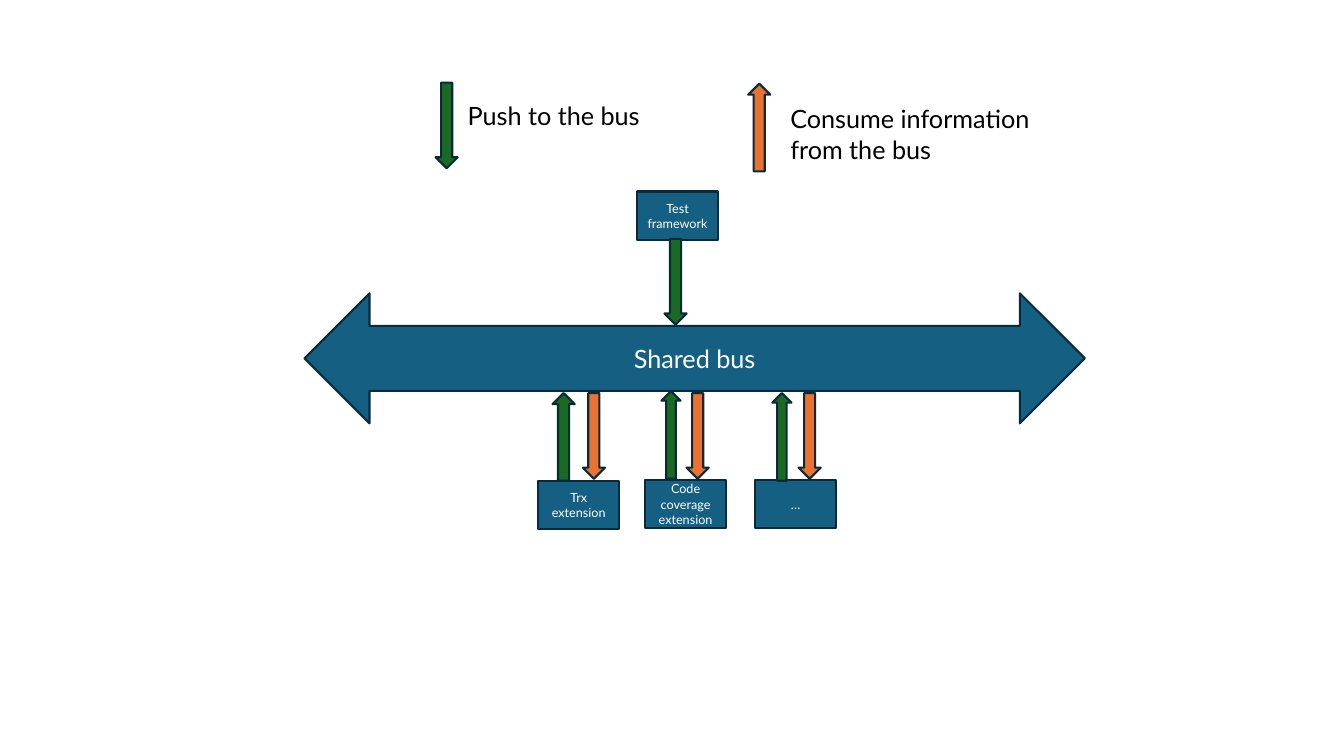
from dataclasses import dataclass

from pptx import Presentation
from pptx.dml.color import RGBColor
from pptx.enum.shapes import MSO_SHAPE
from pptx.enum.text import MSO_ANCHOR, MSO_AUTO_SIZE, PP_ALIGN
from pptx.util import Inches, Pt

RECTANGLE = MSO_SHAPE.RECTANGLE
BUS_ARROW = MSO_SHAPE.LEFT_RIGHT_ARROW
UP = MSO_SHAPE.UP_ARROW
DOWN = MSO_SHAPE.DOWN_ARROW
MIDDLE = MSO_ANCHOR.MIDDLE
CENTER = PP_ALIGN.CENTER
LEFT = PP_ALIGN.LEFT
GROW = MSO_AUTO_SIZE.SHAPE_TO_FIT_TEXT

SLIDE_WIDTH = Inches(13.33)
SLIDE_HEIGHT = Inches(7.5)
COLUMN = SLIDE_WIDTH / 133.3
ROW = SLIDE_HEIGHT / 75


@dataclass(frozen=True)
class Theme:
    font: str = "Lato"
    large: int = 18
    small: int = 9
    line_width: float = 1.5
    bus: str = "156082"
    push: str = "196B24"
    consume: str = "E97132"
    outline: str = "092A39"
    light: str = "FFFFFF"
    dark: str = "000000"


THEME = Theme()


@dataclass(frozen=True)
class Area:
    """Position and size in grid columns and rows."""
    left: float
    top: float
    width: float
    height: float

    def lengths(self) -> tuple[int, int, int, int]:
        return (round(self.left * COLUMN), round(self.top * ROW),
                round(self.width * COLUMN), round(self.height * ROW))


@dataclass(frozen=True)
class Block:
    kind: int
    area: Area
    fill: str
    label: str = ""
    size: int = THEME.small


@dataclass(frozen=True)
class Extension:
    """A box below the bus; arrow offsets count from its left edge."""
    label: str
    left: float
    top: float
    push_offset: float
    push_top: float
    push_width: float
    consume_offset: float


BOX_WIDTH, BOX_HEIGHT = 8, 4.8
ARROW_WIDTH = 2.2
UP_HEIGHT, DOWN_HEIGHT = 8.7, 8.5
CONSUME_TOP = 39

EXTENSIONS = [
    Extension("Trx extension", 53.4, 47.7, 1.4, 39, 2.2, 4.4),
    Extension("Code coverage extension", 64, 47.6, 1.6, 38.8, 1.9, 4.1),
    Extension("…", 74.9, 47.6, 1.7, 39, 1.9, 4.3),
]

BUS_AND_FRAMEWORK = [
    Block(BUS_ARROW, Area(30.2, 29.1, 77.4, 12.9), THEME.bus, "Shared bus", THEME.large),
    Block(RECTANGLE, Area(63.2, 19, BOX_WIDTH, BOX_HEIGHT), THEME.bus, "Test framework"),
    Block(DOWN, Area(65.9, 23.7, ARROW_WIDTH, DOWN_HEIGHT), THEME.push),
]

LEGEND_ARROWS = [
    Block(DOWN, Area(43.2, 8.2, ARROW_WIDTH, DOWN_HEIGHT), THEME.push),
    Block(UP, Area(74.2, 8.3, ARROW_WIDTH, UP_HEIGHT), THEME.consume),
]

LEGEND_TEXTS = [
    ("Push to the bus", Area(45.4, 9.5, 19.7, 4)),
    ("Consume information from the bus", Area(77.4, 9.8, 30.3, 7.1)),
]


def apply_format(target, values: dict) -> None:
    for name, value in values.items():
        setattr(target, name, value)


def write_text(shape, text: str, size: int, color: str, alignment: int) -> None:
    paragraph = shape.text_frame.paragraphs[0]
    paragraph.alignment = alignment
    run = paragraph.add_run()
    run.text = text
    apply_format(run.font, {"name": THEME.font, "size": Pt(size)})
    run.font.color.rgb = RGBColor.from_string(color)


def draw_block(slide, block: Block) -> None:
    shape = slide.shapes.add_shape(block.kind, *block.area.lengths())
    shape.shadow.inherit = False
    shape.fill.solid()
    shape.fill.fore_color.rgb = RGBColor.from_string(block.fill)
    shape.line.color.rgb = RGBColor.from_string(THEME.outline)
    shape.line.width = Pt(THEME.line_width)
    if block.label:
        apply_format(shape.text_frame, {"word_wrap": True, "vertical_anchor": MIDDLE})
        write_text(shape, block.label, block.size, THEME.light, CENTER)


def draw_extension(slide, extension: Extension) -> None:
    push_left = extension.left + extension.push_offset
    consume_left = extension.left + extension.consume_offset
    blocks = [
        Block(RECTANGLE, Area(extension.left, extension.top, BOX_WIDTH, BOX_HEIGHT),
              THEME.bus, extension.label),
        Block(UP, Area(push_left, extension.push_top, extension.push_width, UP_HEIGHT),
              THEME.push),
        Block(DOWN, Area(consume_left, CONSUME_TOP, ARROW_WIDTH, DOWN_HEIGHT),
              THEME.consume),
    ]
    for block in blocks:
        draw_block(slide, block)


def draw_legend_text(slide, text: str, area: Area) -> None:
    box = slide.shapes.add_textbox(*area.lengths())
    apply_format(box.text_frame, {"word_wrap": True, "auto_size": GROW})
    write_text(box, text, THEME.large, THEME.dark, LEFT)


def main() -> None:
    presentation = Presentation()
    apply_format(presentation, {"slide_width": SLIDE_WIDTH, "slide_height": SLIDE_HEIGHT})
    slide = presentation.slides.add_slide(presentation.slide_layouts[6])

    # Bus, framework and legend arrows
    for block in BUS_AND_FRAMEWORK + LEGEND_ARROWS:
        draw_block(slide, block)

    # Extensions with their push and consume arrows
    for extension in EXTENSIONS:
        draw_extension(slide, extension)

    # Legend wording
    for text, area in LEGEND_TEXTS:
        draw_legend_text(slide, text, area)

    presentation.save("out.pptx")


if __name__ == "__main__":
    main()
